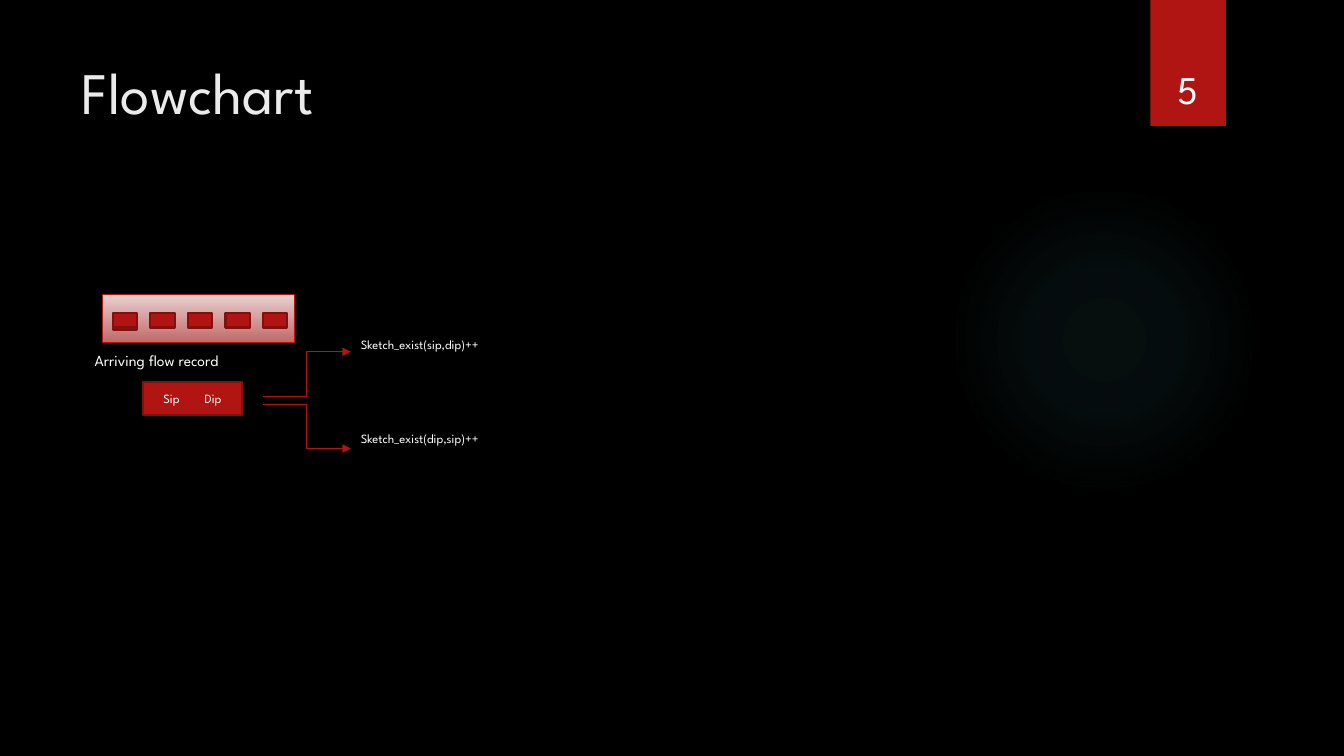
from dataclasses import dataclass

from lxml import etree
from pptx import Presentation
from pptx.dml.color import RGBColor
from pptx.enum.shapes import MSO_CONNECTOR, MSO_SHAPE
from pptx.enum.text import MSO_ANCHOR, MSO_AUTO_SIZE, PP_ALIGN
from pptx.oxml.ns import qn
from pptx.util import Inches, Pt

RECT = MSO_SHAPE.RECTANGLE
OVAL = MSO_SHAPE.OVAL
ELBOW = MSO_CONNECTOR.ELBOW
TOP, MIDDLE, BOTTOM = MSO_ANCHOR.TOP, MSO_ANCHOR.MIDDLE, MSO_ANCHOR.BOTTOM
LEFT, CENTER = PP_ALIGN.LEFT, PP_ALIGN.CENTER
GROW, FIXED = MSO_AUTO_SIZE.SHAPE_TO_FIT_TEXT, MSO_AUTO_SIZE.NONE


@dataclass(frozen=True)
class Theme:
    font: str = "League Spartan"
    back: str = "000000"
    title: str = "EBEBEB"
    text: str = "FFFFFF"
    red: str = "B01513"
    edge: str = "82100E"
    pale: str = "E8D1D0"
    rose: str = "C06969"
    glow: str = "50B9C1"
    head: int = 42
    page: int = 28
    label: int = 11
    small: int = 9


THEME = Theme()


def rgb(code):
    return RGBColor.from_string(code)


def add_node(parent, tag, **attrs):
    return etree.SubElement(parent, qn(tag), attrs)


def write(shape, text, size=THEME.small, color=THEME.text, align=LEFT,
          anchor=TOP, fit=FIXED):
    frame = shape.text_frame
    frame.word_wrap = True
    frame.auto_size = fit
    frame.vertical_anchor = anchor
    para = frame.paragraphs[0]
    para.alignment = align
    run = para.add_run()
    run.text = text
    run.font.name = THEME.font
    run.font.size = Pt(size)
    run.font.color.rgb = rgb(color)
    return para


def place(shape, x, y, w, h):
    shape.left, shape.top = Inches(x), Inches(y)
    shape.width, shape.height = Inches(w), Inches(h)


def add_label(slide, text, x, y, w, h, **style):
    box = slide.shapes.add_textbox(Inches(x), Inches(y), Inches(w), Inches(h))
    write(box, text, **style)


def add_block(slide, x, y, w, h, kind=RECT, fill=THEME.red, line=None, width=1.5):
    block = slide.shapes.add_shape(kind, Inches(x), Inches(y), Inches(w), Inches(h))
    block.shadow.inherit = False
    block.fill.solid()
    block.fill.fore_color.rgb = rgb(fill)
    if line:
        block.line.color.rgb = rgb(line)
        block.line.width = Pt(width)
    else:
        block.line.fill.background()
    return block


def add_glow(slide):
    glow = add_block(slide, 9.41, 1.83, 3.08, 3.08, kind=OVAL)
    glow.fill.gradient()
    grad = glow.fill._xPr.find(qn("a:gradFill"))
    for child in list(grad):
        grad.remove(child)
    stops = add_node(grad, "a:gsLst")
    for spot, alpha in ((0, 7), (36, 6), (69, 0)):
        stop = add_node(stops, "a:gs", pos=str(spot * 1000))
        color = add_node(stop, "a:srgbClr", val=THEME.glow)
        add_node(color, "a:alpha", val=str(alpha * 1000))
    shade = add_node(grad, "a:path", path="circle")
    add_node(shade, "a:fillToRect", l="50000", t="50000", r="50000", b="50000")


def add_stream(slide):
    tray = add_block(slide, 1.02, 2.92, 1.9, 0.48, line=THEME.red, width=0.75)
    tray.fill.gradient()
    tray.fill.gradient_angle = 270
    for stop, color, spot in zip(tray.fill.gradient_stops, (THEME.pale, THEME.rose), (0, 1)):
        stop.color.rgb = rgb(color)
        stop.position = spot
    first, top, step = 1.12, 3.11, 0.3725
    spots = [(first, top + 0.02)] + [(first + i * step, top) for i in range(5)]
    for x, y in spots:
        add_block(slide, x, y, 0.24, 0.14, line=THEME.edge)


def add_record(slide):
    block = add_block(slide, 1.42, 3.79, 0.98, 0.33, line=THEME.edge)
    block.text_frame.margin_left = Inches(0.2)
    para = write(block, "Sip\tDip", anchor=MIDDLE)
    tabs = add_node(para._p.get_or_add_pPr(), "a:tabLst")
    add_node(tabs, "a:tab", pos=str(Inches(0.41)), algn="l")


def add_arrow(slide, x1, y1, x2, y2):
    arrow = slide.shapes.add_connector(ELBOW, Inches(x1), Inches(y1), Inches(x2), Inches(y2))
    arrow.line.color.rgb = rgb(THEME.red)
    arrow.line.width = Pt(0.75)
    add_node(arrow.line._get_or_add_ln(), "a:tailEnd", type="triangle")
    add_node(arrow._element.spPr, "a:effectLst")


def main():
    deck = Presentation()
    deck.slide_width, deck.slide_height = Inches(13.33), Inches(7.5)
    slide = deck.slides.add_slide(deck.slide_layouts[5])
    slide.background.fill.solid()
    slide.background.fill.fore_color.rgb = rgb(THEME.back)

    add_glow(slide)
    add_block(slide, 11.41, 0, 0.75, 1.25)
    place(slide.shapes.title, 0.71, 0.5, 10.29, 1.53)
    write(slide.shapes.title, "Flowchart", size=THEME.head, color=THEME.title)
    add_label(slide, "5", 11.32, 0.32, 0.92, 0.84, size=THEME.page,
              align=CENTER, anchor=BOTTOM)

    add_stream(slide)
    add_label(slide, "Arriving flow record", 0.84, 3.43, 3.12, 0.29,
              size=THEME.label, fit=GROW)
    add_record(slide)
    for text, y, start, end in (
        ("Sketch_exist(sip,dip)++", 3.29, 3.93, 3.49),
        ("Sketch_exist(dip,sip)++", 4.23, 4.01, 4.45),
    ):
        add_arrow(slide, 2.61, start, 3.48, end)
        add_label(slide, text, 3.48, y, 3.61, 0.25, fit=GROW)

    deck.save("out.pptx")


if __name__ == "__main__":
    main()
